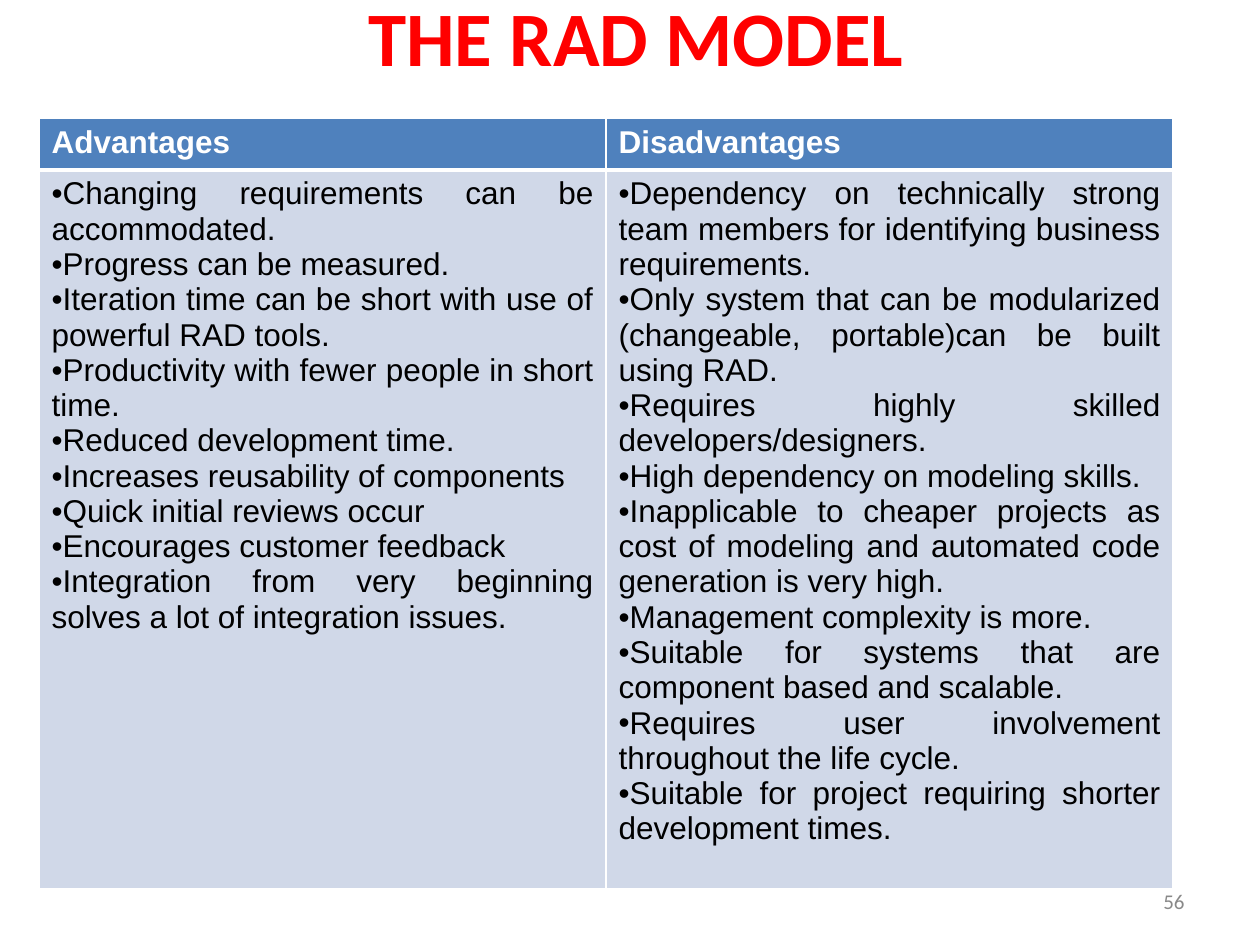
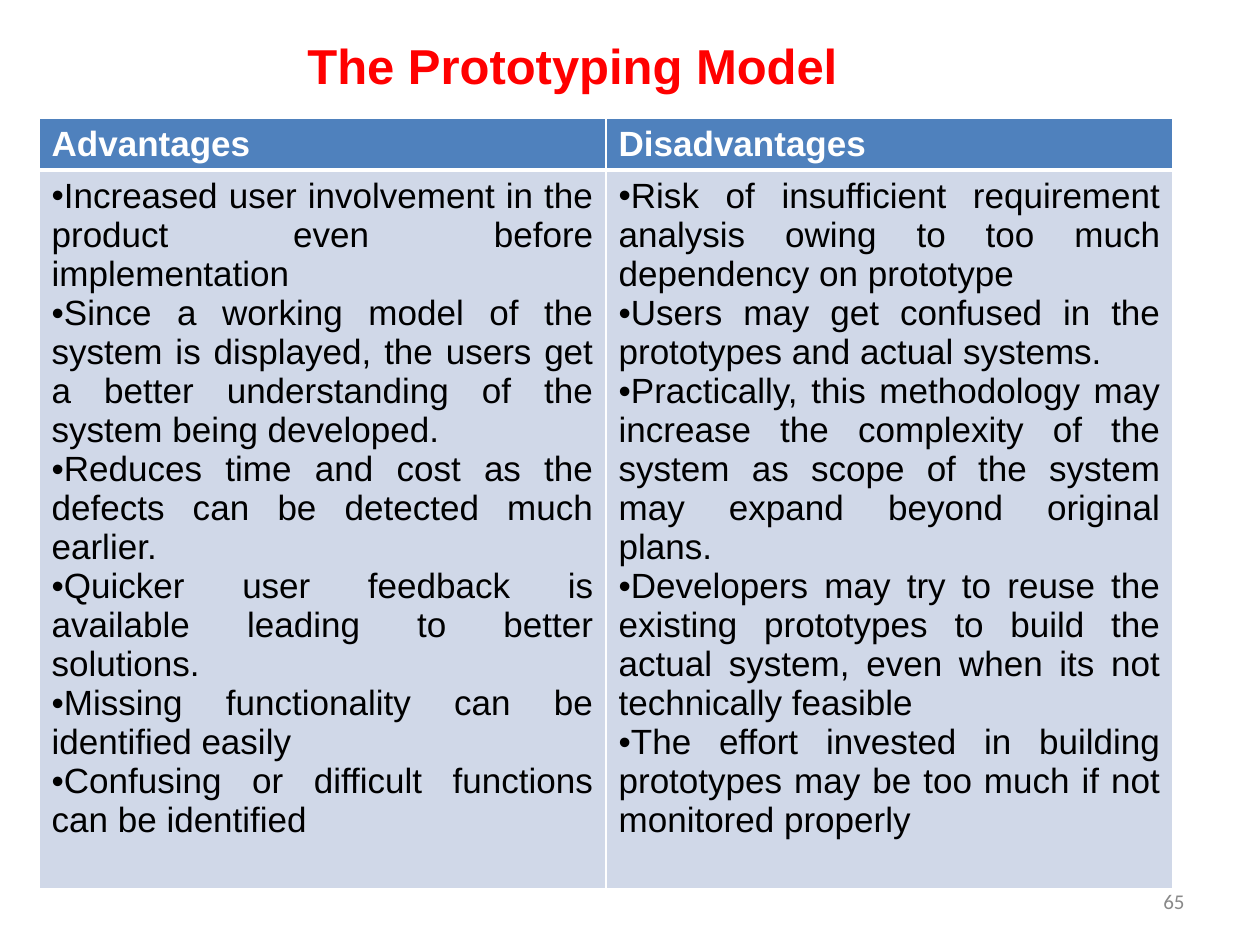
from lxml import etree
from pptx import Presentation
from pptx.dml.color import RGBColor
from pptx.enum.text import MSO_ANCHOR, MSO_AUTO_SIZE, PP_ALIGN
from pptx.oxml.ns import qn
from pptx.util import Inches, Pt

LEFT, CENTER, RIGHT, JUSTIFY = PP_ALIGN.LEFT, PP_ALIGN.CENTER, PP_ALIGN.RIGHT, PP_ALIGN.JUSTIFY
TOP, MIDDLE = MSO_ANCHOR.TOP, MSO_ANCHOR.MIDDLE
TITLE_ONLY = 5

COLORS = {
    "title": "FF0000",
    "header": "4F81BD",
    "body": "D0D8E8",
    "border": "FFFFFF",
    "header_text": "FFFFFF",
    "body_text": "000000",
    "number": "898989",
}
HEADINGS = ("Advantages", "Disadvantages")
HEADER_HEIGHT, BODY_HEIGHT, COLUMN_WIDTH = 0.41, 5.7, 4.5

RAD_ADVANTAGES = [
    "Changing requirements can be accommodated.",
    "Progress can be measured.",
    "Iteration time can be short with use of powerful RAD tools.",
    "Productivity with fewer people in short time.",
    "Reduced development time.",
    "Increases reusability of components",
    "Quick initial reviews occur",
    "Encourages customer feedback",
    "Integration from very beginning solves a lot of integration issues.",
]
RAD_DISADVANTAGES = [
    "Dependency on technically strong team members for identifying business requirements.",
    "Only system that can be modularized (changeable, portable)can be built using RAD.",
    "Requires highly skilled developers/designers.",
    "High dependency on modeling skills.",
    "Inapplicable to cheaper projects as cost of modeling and automated code generation is very high.",
    "Management complexity is more.",
    "Suitable for systems that are component based and scalable.",
    "Requires user involvement throughout the life cycle.",
    "Suitable for project requiring shorter development times.",
]
PROTOTYPING_ADVANTAGES = [
    "Increased user involvement in the product even before implementation",
    "Since a working model of the system is displayed, the users get a better understanding "
    "of the system being developed.",
    "Reduces time and cost as the defects can be detected much earlier.",
    "Quicker user feedback is available leading to better solutions.",
    "Missing functionality can be identified easily",
    "Confusing or difficult functions can be identified",
]
PROTOTYPING_DISADVANTAGES = [
    "Risk of insufficient requirement analysis owing to too much dependency on prototype",
    "Users may get confused in the prototypes and actual systems.",
    "Practically, this methodology may increase the complexity of the system as scope of the "
    "system may expand beyond original plans.",
    "Developers may try to reuse the existing prototypes to build the actual system, even when "
    "its not technically feasible",
    "The effort invested in building prototypes may be too much if not monitored properly",
]


def set_attributes(target, values):
    for attribute, value in values.items():
        setattr(target, attribute, value)


def write_lines(frame, lines, color, align, **font):
    frame.text = "\n".join(lines)
    for paragraph in frame.paragraphs:
        paragraph.alignment = align
        for run in paragraph.runs:
            set_attributes(run.font, font)
            run.font.color.rgb = RGBColor.from_string(COLORS[color])


def add_bullets(frame):
    for paragraph in frame.paragraphs:
        properties = paragraph._p.get_or_add_pPr()
        properties.set("marL", "0")
        properties.set("indent", "0")
        etree.SubElement(properties, qn("a:buFont"), typeface="Arial")
        etree.SubElement(properties, qn("a:buChar"), char="•")


def set_borders(cell, top, bottom):
    properties = cell._tc.get_or_add_tcPr()
    for index, (side, points) in enumerate({"L": 1, "R": 1, "T": top, "B": bottom}.items()):
        line = etree.Element(qn(f"a:ln{side}"), w=str(Pt(points)))
        fill = etree.SubElement(line, qn("a:solidFill"))
        etree.SubElement(fill, qn("a:srgbClr"), val=COLORS["border"])
        properties.insert(index, line)


def fill_cell(cell, color, top, bottom):
    cell.fill.solid()
    cell.fill.fore_color.rgb = RGBColor.from_string(COLORS[color])
    set_borders(cell, top, bottom)


def set_title(slide, text, box, align, frame_format, **font):
    title = slide.shapes.title
    set_attributes(title, dict(zip(("left", "top", "width", "height"), map(Inches, box))))
    set_attributes(title.text_frame, {"auto_size": MSO_AUTO_SIZE.NONE, **frame_format})
    write_lines(title.text_frame, [text], "title", align, bold=True, **font)
    return title


def add_comparison(slide, columns, size):
    table = slide.shapes.add_table(
        2, 2, Inches(0.31), Inches(0.94),
        Inches(2 * COLUMN_WIDTH), Inches(HEADER_HEIGHT + BODY_HEIGHT),
    ).table
    table.rows[0].height = Inches(HEADER_HEIGHT)
    table.rows[1].height = Inches(BODY_HEIGHT)
    font = {"name": "Arial", "size": Pt(size)}
    for index, (heading, points) in enumerate(zip(HEADINGS, columns)):
        header, body = table.cell(0, index), table.cell(1, index)
        write_lines(header.text_frame, [heading], "header_text", LEFT, bold=True, **font)
        write_lines(body.text_frame, points, "body_text", JUSTIFY, bold=False, **font)
        add_bullets(body.text_frame)
        fill_cell(header, "header", 1, 3)
        fill_cell(body, "body", 3, 1)


def add_page_number(slide, number):
    frame = slide.shapes.add_textbox(
        Inches(7.17), Inches(6.95), Inches(2.33), Inches(0.4)).text_frame
    set_attributes(frame, {"word_wrap": True, "vertical_anchor": MIDDLE})
    write_lines(frame, [str(number)], "number", RIGHT, name="Calibri", size=Pt(12))


def main():
    deck = Presentation()
    set_attributes(deck, {"slide_width": Inches(10), "slide_height": Inches(7.5)})
    layout = deck.slide_layouts[TITLE_ONLY]

    rad = deck.slides.add_slide(layout)
    rad_title = set_title(
        rad, "THE RAD MODEL", (0.55, 0, 9, 1.25), CENTER,
        {"vertical_anchor": TOP, "margin_top": 0}, name="Calibri", size=Pt(44))
    rad_title.text_frame.paragraphs[0].line_spacing = 0.9
    add_comparison(rad, (RAD_ADVANTAGES, RAD_DISADVANTAGES), 18)
    add_page_number(rad, 56)

    prototyping = deck.slides.add_slide(layout)
    set_title(
        prototyping, "The Prototyping Model", (2.34, 0.23, 4.46, 0.57), LEFT,
        {"vertical_anchor": TOP, "word_wrap": False}, name="Arial", size=Pt(28))
    add_comparison(prototyping, (PROTOTYPING_ADVANTAGES, PROTOTYPING_DISADVANTAGES), 20)
    add_page_number(prototyping, 65)

    deck.save("out.pptx")


if __name__ == "__main__":
    main()
